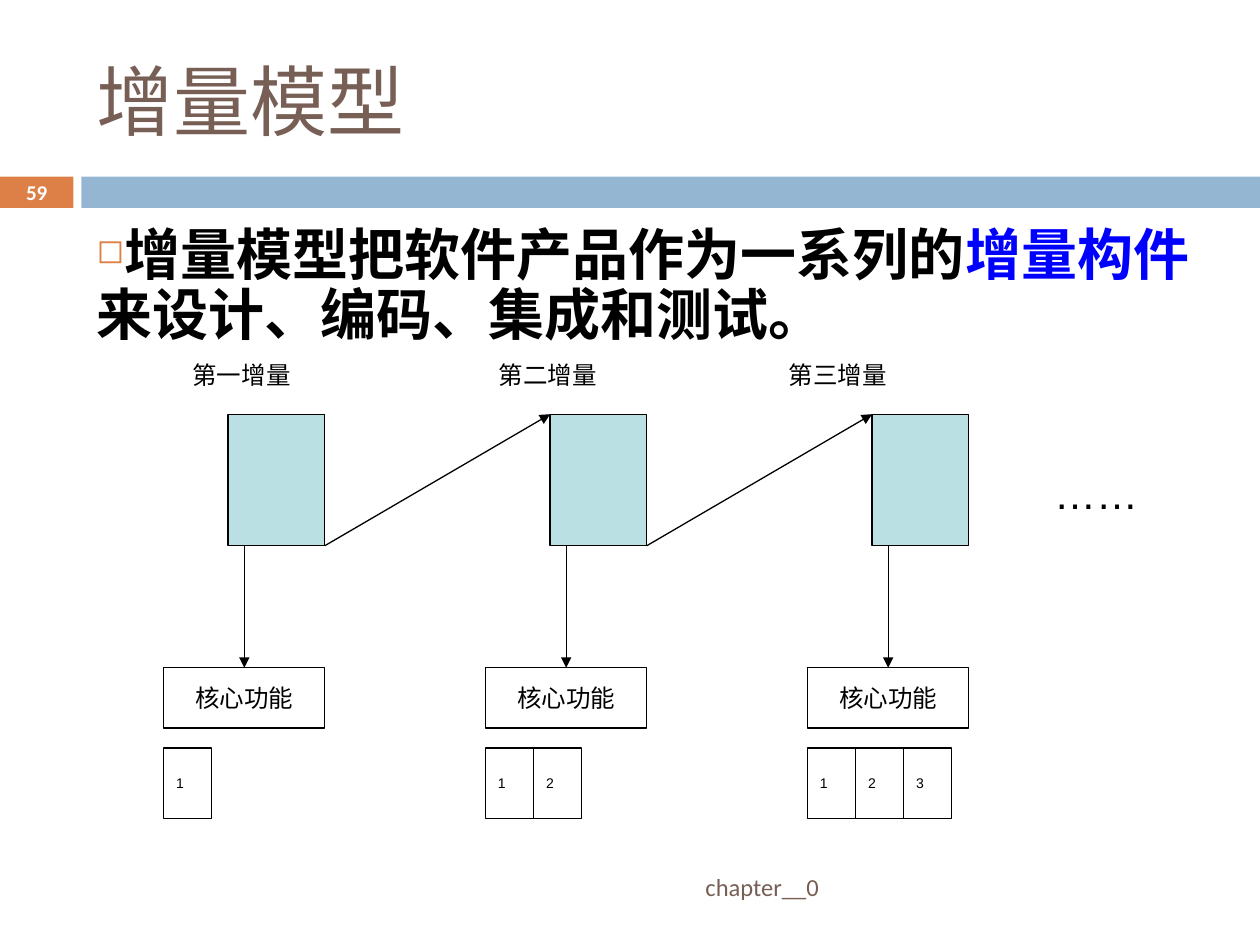
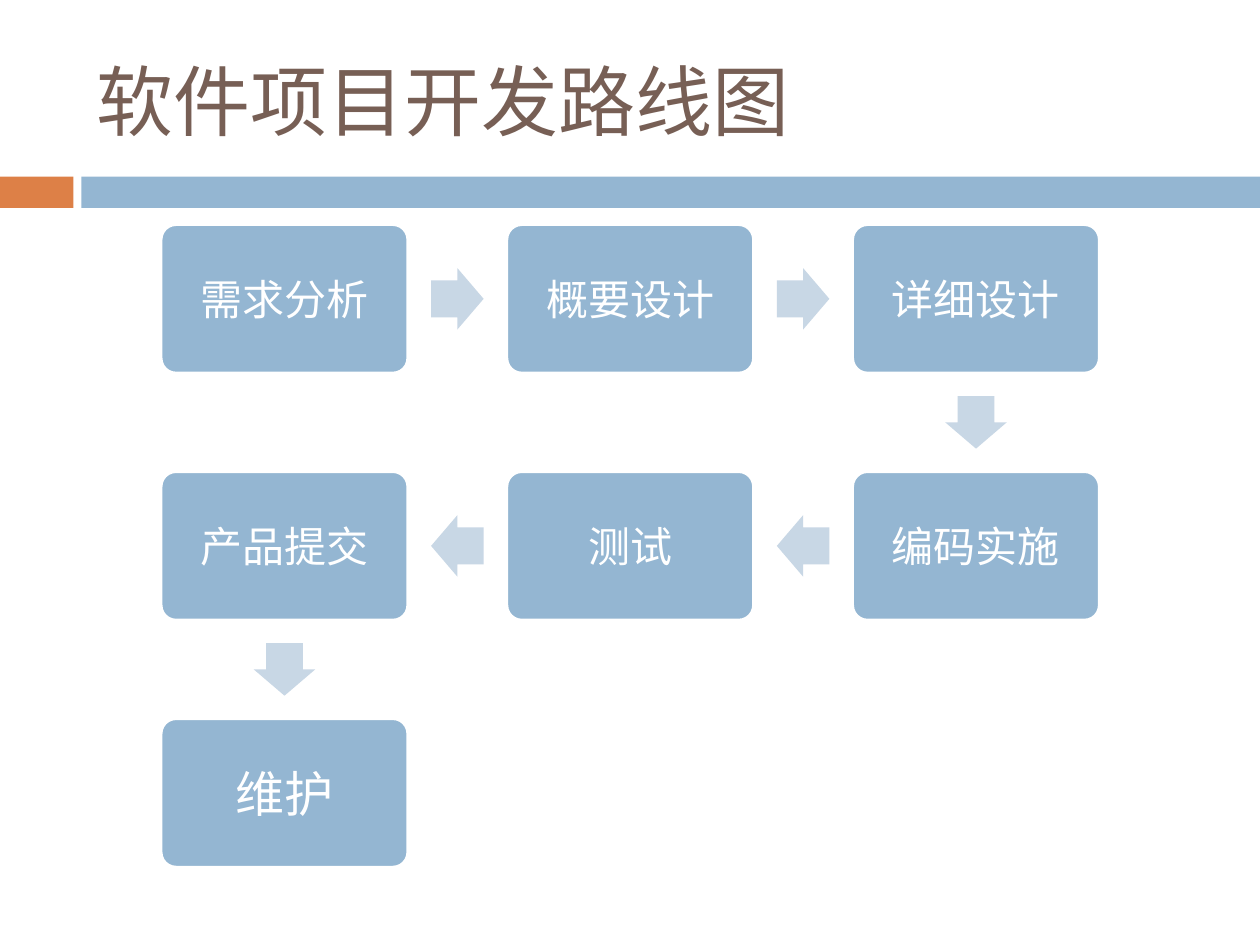
from lxml import etree
from pptx import Presentation
from pptx.dml.color import RGBColor
from pptx.enum.shapes import MSO_CONNECTOR, MSO_SHAPE
from pptx.enum.text import MSO_ANCHOR, PP_ALIGN
from pptx.oxml.ns import qn
from pptx.util import Cm, Pt

RECTANGLE = MSO_SHAPE.RECTANGLE
ROUNDED = MSO_SHAPE.ROUNDED_RECTANGLE
ARROW = MSO_SHAPE.RIGHT_ARROW
STRAIGHT = MSO_CONNECTOR.STRAIGHT
TOP, MIDDLE = MSO_ANCHOR.TOP, MSO_ANCHOR.MIDDLE
LEFT, CENTER, RIGHT = PP_ALIGN.LEFT, PP_ALIGN.CENTER, PP_ALIGN.RIGHT
JUSTIFY = PP_ALIGN.JUSTIFY
TOP_SIDE = 0

ORANGE = RGBColor(0xDD, 0x80, 0x47)
BLUE = RGBColor(0x94, 0xB6, 0xD2)
PALE_BLUE = RGBColor(0xC8, 0xD7, 0xE5)
BROWN = RGBColor(0x77, 0x5F, 0x55)
TEAL = RGBColor(0xBB, 0xE0, 0xE3)
LINK_BLUE = RGBColor(0, 0, 0xFF)
BLACK = RGBColor(0, 0, 0)
WHITE = RGBColor(0xFF, 0xFF, 0xFF)

BODY_FONT, DIAGRAM_FONT, CHINESE_FONT = "Calibri", "Arial", "Noto Sans CJK SC"

MODEL_TITLE = "增量模型"
MODEL_STATEMENT = [
    ("增量模型把软件产品作为一系列的", BLACK),
    ("增量构件", LINK_BLUE),
    ("来设计、编码、集成和测试。", BLACK),
]
INCREMENTS = [("第一增量", 3.63), ("第二增量", 9.8), ("第三增量", 15.65)]
CORE_LABEL = "核心功能"
MORE_INCREMENTS = "……"
PAGE_NUMBER = "59"
FOOTER = "chapter__0"

ROADMAP_TITLE = "软件项目开发路线图"
ROADMAP_STEPS = [
    ("需求分析", 0, 0, 24),
    ("概要设计", 1, 0, 24),
    ("详细设计", 2, 0, 24),
    ("编码实施", 2, 1, 24),
    ("测试", 1, 1, 24),
    ("产品提交", 0, 1, 24),
    ("维护", 0, 2, 28),
]
TURNS = {(1, 0): 0, (0, 1): 90, (-1, 0): 180}


def write(shape, runs, size, color, font=BODY_FONT, align=LEFT, anchor=TOP, bold=False):
    frame = shape.text_frame
    frame.word_wrap = True
    frame.vertical_anchor = anchor
    paragraph = frame.paragraphs[0]
    paragraph.alignment = align
    paragraph.font.size = Pt(size)
    paragraph.font.bold = bold
    paragraph.font.color.rgb = color
    paragraph.font.name = font
    defaults = paragraph._p.pPr.find(qn("a:defRPr"))
    etree.SubElement(defaults, qn("a:ea"), typeface=CHINESE_FONT)
    for text, run_color in runs:
        run = paragraph.add_run()
        run.text = text
        if run_color != color:
            run.font.color.rgb = run_color
    return paragraph


def add_text(slide, box, text, size, color, **style):
    shape = slide.shapes.add_textbox(*map(Cm, box))
    return write(shape, [(text, color)], size, color, **style)


def add_block(slide, kind, box, fill=None, line=None, line_width=0.75):
    shape = slide.shapes.add_shape(kind, *map(Cm, box))
    shape.shadow.inherit = False
    if fill is None:
        shape.fill.background()
    else:
        shape.fill.solid()
        shape.fill.fore_color.rgb = fill
    if line is None:
        shape.line.fill.background()
    else:
        shape.line.color.rgb = line
        shape.line.width = Pt(line_width)
    return shape


def add_arrow_line(slide, start, end):
    connector = slide.shapes.add_connector(STRAIGHT, *map(Cm, start + end))
    connector.line.color.rgb = BLACK
    connector.line.width = Pt(0.75)
    etree.SubElement(connector.line._get_or_add_ln(), qn("a:tailEnd"), type="triangle")
    etree.SubElement(connector._element.spPr, qn("a:effectLst"))
    return connector


def add_square_bullet(paragraph):
    defaults = paragraph._p.pPr.find(qn("a:defRPr"))
    color = etree.Element(qn("a:buClr"))
    etree.SubElement(color, qn("a:srgbClr"), val=str(ORANGE))
    size = etree.Element(qn("a:buSzPct"), val="60000")
    bullet = etree.Element(qn("a:buChar"), char="◻")
    for element in (color, size, bullet):
        defaults.addprevious(element)


def add_titled_slide(presentation, title):
    slide = presentation.slides.add_slide(presentation.slide_layouts[6])
    add_block(slide, RECTANGLE, (0, 3.56, 1.48, 0.63), ORANGE)
    add_block(slide, RECTANGLE, (1.64, 3.56, 23.76, 0.63), BLUE)
    add_text(slide, (1.7, 0.64, 22.66, 2.74), title, 44, BROWN, anchor=MIDDLE)
    return slide


def build_model_slide(presentation):
    slide = add_titled_slide(presentation, MODEL_TITLE)
    statement = slide.shapes.add_textbox(Cm(1.7), Cm(4.45), Cm(22.66), Cm(2.6))
    paragraph = write(statement, MODEL_STATEMENT, 32, BLACK, bold=True)
    paragraph.line_spacing = 0.9
    paragraph.space_before = Pt(7)
    add_square_bullet(paragraph)
    add_text(slide, (1.7, 17.36, 15.06, 1.02), FOOTER, 14, BROWN, align=RIGHT, anchor=MIDDLE)
    add_text(slide, (0, 3.53, 1.48, 0.69), PAGE_NUMBER, 12, WHITE,
             align=CENTER, anchor=MIDDLE, bold=True)

    first_left, pitch = 3.3, 6.49
    core_top, core_width, core_height = 13.46, 3.25, 1.22
    block_top, block_width, block_height = 8.35, 1.95, 2.65
    part_top, part_width, part_height = 15.08, 0.97, 1.42
    block_bottom = block_top + block_height

    for index, (label, label_left) in enumerate(INCREMENTS):
        left = first_left + index * pitch
        right = left + core_width
        add_text(slide, (label_left, 7.14, 3.9, 0.71), label, 14, BLACK,
                 font=DIAGRAM_FONT, align=JUSTIFY)
        add_block(slide, RECTANGLE, (right - block_width, block_top, block_width, block_height),
                  TEAL, BLACK)
        core = add_block(slide, RECTANGLE, (left, core_top, core_width, core_height), line=BLACK)
        write(core, [(CORE_LABEL, BLACK)], 14, BLACK, DIAGRAM_FONT, CENTER, MIDDLE)
        for part in range(index + 1):
            part_box = (left + part * part_width, part_top, part_width, part_height)
            cell = add_block(slide, RECTANGLE, part_box, line=BLACK)
            write(cell, [(str(part + 1), BLACK)], 8, BLACK, DIAGRAM_FONT, JUSTIFY, MIDDLE)

        middle = left + core_width / 2
        down = add_arrow_line(slide, (middle, block_bottom), (middle, core_top))
        down.end_connect(core, TOP_SIDE)
        if index < len(INCREMENTS) - 1:
            next_block_left = right + pitch - block_width
            add_arrow_line(slide, (right, block_bottom), (next_block_left, block_top))

    add_text(slide, (21, 9.3, 2.7, 1.09), MORE_INCREMENTS, 24, BLACK,
             font=DIAGRAM_FONT, align=JUSTIFY)


def build_roadmap_slide(presentation):
    slide = add_titled_slide(presentation, ROADMAP_TITLE)
    first_left, first_top = 3.25, 4.53
    column_pitch, row_pitch = 6.97, 4.98
    step_width, step_height = 4.97, 2.99
    arrow_width, arrow_height = 1.06, 1.24

    def center(column, row):
        return (first_left + column * column_pitch + step_width / 2,
                first_top + row * row_pitch + step_height / 2)

    for text, column, row, size in ROADMAP_STEPS:
        x, y = center(column, row)
        box = (x - step_width / 2, y - step_height / 2, step_width, step_height)
        step = add_block(slide, ROUNDED, box, BLUE, WHITE, 1.5)
        step.adjustments[0] = 0.1
        write(step, [(text, WHITE)], size, WHITE, align=CENTER, anchor=MIDDLE)

    for (_, column, row, _), (_, next_column, next_row, _) in zip(ROADMAP_STEPS, ROADMAP_STEPS[1:]):
        x, y = center((column + next_column) / 2, (row + next_row) / 2)
        box = (x - arrow_width / 2, y - arrow_height / 2, arrow_width, arrow_height)
        arrow = add_block(slide, ARROW, box, PALE_BLUE)
        arrow.adjustments[0] = 0.6
        arrow.adjustments[1] = 0.5
        arrow.rotation = TURNS[next_column - column, next_row - row]


def main():
    presentation = Presentation()
    presentation.slide_width = Cm(25.4)
    presentation.slide_height = Cm(19.05)
    build_model_slide(presentation)
    build_roadmap_slide(presentation)
    presentation.save("out.pptx")


if __name__ == "__main__":
    main()
